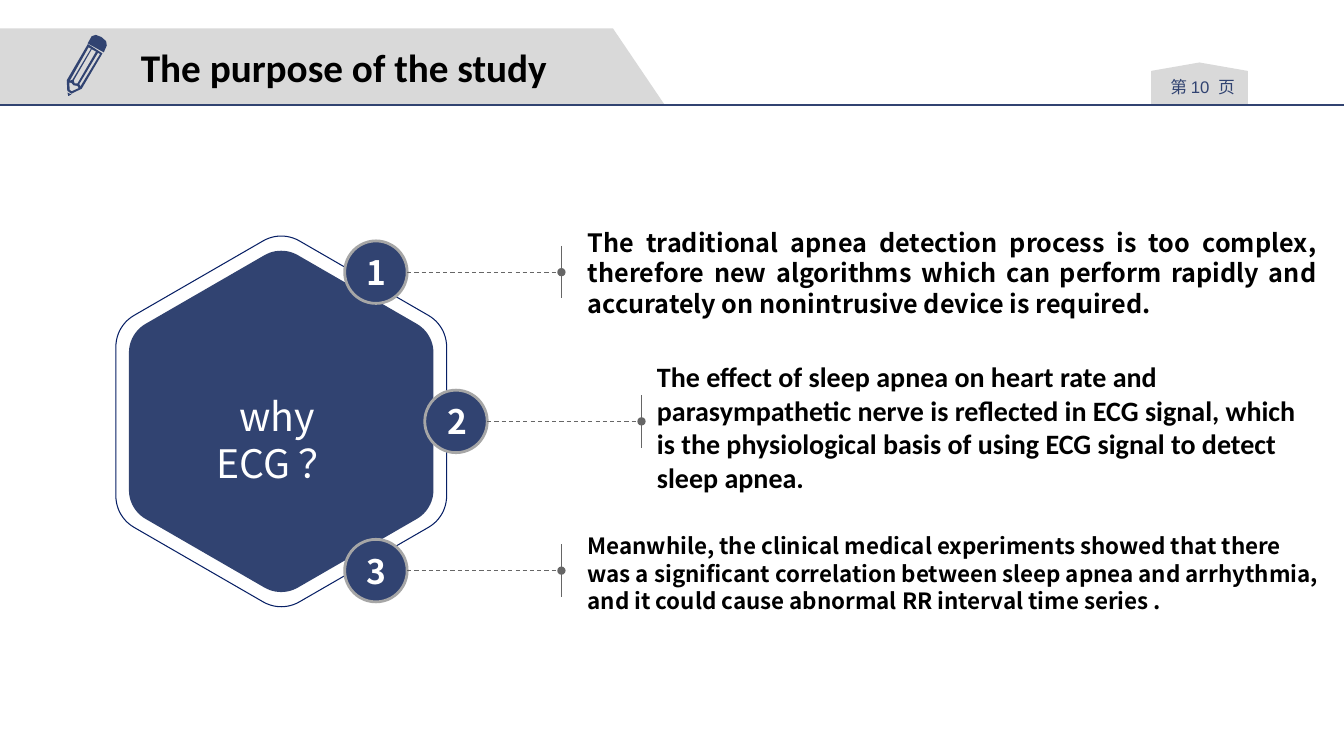
from math import cos, pi, sin

from lxml.etree import SubElement
from pptx import Presentation
from pptx.dml.color import RGBColor
from pptx.enum.dml import MSO_LINE
from pptx.enum.shapes import MSO_CONNECTOR, MSO_SHAPE
from pptx.enum.text import MSO_ANCHOR, MSO_AUTO_SIZE, PP_ALIGN
from pptx.oxml.ns import qn
from pptx.util import Pt

NAVY, GREY, BLACK, WHITE = "314371", "D9D9D9", "000000", "FFFFFF"
LEADER, RING = "666666", "A6A6A6"
CJK = "Noto Sans CJK SC"
CENTER_X, CENTER_Y = 200.9, 301
ROW_STEP, CIRCLE, LEADER_LENGTH, TICK = 106.6, 44.64, 110.2, 18.7

# Pencil outlines in points; later contours of the body are its openings
PENCIL_CAP = [[(65.5, 25.9), (68.4, 24.9), (72.5, 26.5), (75.8, 29.4),
               (76.3, 32.4), (74.2, 37.4), (62.6, 31)]]
PENCIL_BODY = [
    [(47.7, 57.4), (48.1, 64.9), (51, 67), (58.4, 63.4), (73.2, 38.2), (62.8, 31.5)],
    [(49.8, 57.8), (63.3, 33.8), (65, 34.8), (51.8, 57)],
    [(51.1, 65.3), (49.8, 64.2), (49.5, 59), (51.1, 59.3), (52.6, 61),
     (55.4, 61.4), (56.2, 63)],
    [(52.7, 57.5), (65.6, 35.2), (68.6, 36.9), (55.4, 59.6), (53.3, 59.6)],
    [(57.4, 61.9), (56.7, 60), (70, 37.7), (71.5, 38.6)],
]
PENCIL_TIP = [[(51, 67.6), (48.2, 66.1), (48.8, 68.6)]]

# Circle left, text box (left, top, width, height), text, size, font, alignment, inset
REASONS = [
    (246.2, (419.8, 162, 520.6, 65.5),
     "The traditional apnea detection process is too complex, therefore new algorithms "
     "which can perform rapidly and accurately on nonintrusive device is required. ",
     18, CJK, PP_ALIGN.JUSTIFY, (0, 0)),
    (303.4, (462.2, 253.4, 480.2, 104.4),
     "The effect of sleep apnea on heart rate and parasympathetic nerve is reflected in "
     "ECG signal, which is the physiological basis of using ECG signal to detect sleep apnea.",
     20, "Calibri", PP_ALIGN.LEFT, (7.2, 3.6)),
    (246.2, (419.8, 380.2, 522.7, 58.3),
     "Meanwhile, the clinical medical experiments showed that there was a significant "
     "correlation between sleep apnea and arrhythmia, and it could cause abnormal RR "
     "interval time series .",
     16, CJK, PP_ALIGN.LEFT, (0, 0)),
]


def color(value):
    return RGBColor.from_string(value)


def paint(shape, fill=None, line=None, width=1):
    shape.shadow.inherit = False
    if fill:
        shape.fill.solid()
        shape.fill.fore_color.rgb = color(fill)
    else:
        shape.fill.background()
    if line:
        shape.line.color.rgb = color(line)
        shape.line.width = Pt(width)
    else:
        shape.line.fill.background()
    return shape


def add_outline(shapes, contours, **style):
    """Draw closed contours, kept to hundredths of a point."""
    scaled = [[(x * 100, y * 100) for x, y in contour] for contour in contours]
    builder = shapes.build_freeform(*scaled[0][0], scale=Pt(1) / 100)
    builder.add_line_segments(scaled[0][1:])
    for contour in scaled[1:]:
        builder.move_to(*contour[0])
        builder.add_line_segments(contour[1:])
    return paint(builder.convert_to_shape(), **style)


def add_hexagon(shapes, radius, **style):
    """Draw a hexagon with its point up and its corners rounded."""
    corner = 0.19 * radius
    reach = radius - corner / cos(pi / 6)
    points = []
    for side in range(6):
        middle = side * pi / 3 - pi / 2
        for step in range(-6, 7):
            angle = middle + step * pi / 36
            points.append((CENTER_X + reach * cos(middle) + corner * cos(angle),
                           CENTER_Y + reach * sin(middle) + corner * sin(angle)))
    return add_outline(shapes, [points], **style)


def add_line(shapes, start, end, line_color, width, leader=False):
    connector = shapes.add_connector(
        MSO_CONNECTOR.STRAIGHT, *(Pt(value) for value in start + end))
    connector.line.color.rgb = color(line_color)
    connector.line.width = Pt(width)
    if leader:
        connector.line.dash_style = MSO_LINE.DASH
        SubElement(connector.line._get_or_add_ln(), qn("a:tailEnd"), type="oval")
    SubElement(connector.element.spPr, qn("a:effectLst"))


def write(shape, runs, size, text_color, bold=False, align=PP_ALIGN.CENTER,
          inset=(0, 0), anchor=MSO_ANCHOR.TOP, wrap=True, spacing=None):
    """Fill a shape with one paragraph of (text, font) runs."""
    frame = shape.text_frame
    frame.auto_size = MSO_AUTO_SIZE.NONE
    frame.word_wrap = wrap
    frame.vertical_anchor = anchor
    frame.margin_left = frame.margin_right = Pt(inset[0])
    frame.margin_top = frame.margin_bottom = Pt(inset[1])
    paragraph = frame.paragraphs[0]
    paragraph.alignment = align
    if spacing:
        paragraph.line_spacing = Pt(spacing)
    for text, font in runs:
        run = paragraph.add_run()
        run.text = text
        run.font.size = Pt(size)
        run.font.bold = bold
        run.font.color.rgb = color(text_color)
        run.font.name = font
        SubElement(run.font._element, qn("a:ea"), typeface=font)


def add_text(shapes, box, *content, **style):
    write(shapes.add_textbox(*(Pt(value) for value in box)), *content, **style)


def add_header(slide):
    shapes = slide.shapes
    add_outline(shapes, [[(0, 20.2), (437.8, 20.2), (474.8, 74.9), (0, 74.9)]], fill=GREY)

    # Page badge
    badge = shapes.add_shape(MSO_SHAPE.FLOWCHART_OFFPAGE_CONNECTOR,
                             Pt(822.2), Pt(44.6), Pt(69.1), Pt(30.2))
    badge.rotation = 180
    paint(badge, fill=GREY)
    add_text(shapes, (826.6, 51.8, 64.8, 21.6),
             [("第 ", CJK), ("10 ", "Arial"), (" 页", CJK)], 12, NAVY, inset=(5, 2.9))
    add_line(shapes, (0, 74.9), (960, 74.9), NAVY, 1)

    # Pencil icon
    pencil = shapes.add_group_shape()
    for contours in (PENCIL_CAP, PENCIL_BODY, PENCIL_TIP):
        add_outline(pencil.shapes, contours, fill=NAVY)

    # Title, brought in front of the banner
    title = shapes.title
    title.left, title.top, title.width, title.height = Pt(91.4), Pt(27.4), Pt(308.2), Pt(41)
    write(title, [("The purpose of the study", "Calibri")], 28, BLACK, bold=True,
          inset=(7.2, 3.6), anchor=MSO_ANCHOR.MIDDLE, wrap=False)
    title.element.getparent().append(title.element)


def add_reason(shapes, number, left, box, text, size, font, align, inset):
    middle = CENTER_Y + (number - 2) * ROW_STEP
    start, end = left + CIRCLE, left + CIRCLE + LEADER_LENGTH
    circle = shapes.add_shape(MSO_SHAPE.OVAL, Pt(left), Pt(middle - CIRCLE / 2),
                              Pt(CIRCLE), Pt(CIRCLE))
    paint(circle, fill=NAVY, line=RING, width=2)
    write(circle, [(str(number), CJK)], 24, WHITE, bold=True, inset=(9.4, 5),
          anchor=MSO_ANCHOR.MIDDLE)
    add_line(shapes, (start, middle), (end, middle), LEADER, 0.75, leader=True)
    add_line(shapes, (end, middle - TICK), (end, middle + TICK), LEADER, 0.75)
    add_text(shapes, box, [(text, font)], size, BLACK, bold=True, align=align,
             inset=inset, spacing=1.21 * size if font == CJK else None)


def main():
    presentation = Presentation()
    presentation.slide_width, presentation.slide_height = Pt(960), Pt(540)
    slide = presentation.slides.add_slide(presentation.slide_layouts[5])
    add_header(slide)

    # Central question
    add_hexagon(slide.shapes, 125.6, fill=NAVY)
    add_text(slide.shapes, (126, 280.1, 144, 33.8), [("why ECG ？", CJK)], 28, WHITE,
             spacing=33.8)
    add_hexagon(slide.shapes, 136.4, line="071F65", width=0.75)

    # Numbered reasons
    for number, reason in enumerate(REASONS, start=1):
        add_reason(slide.shapes, number, *reason)
    presentation.save("out.pptx")


if __name__ == "__main__":
    main()
